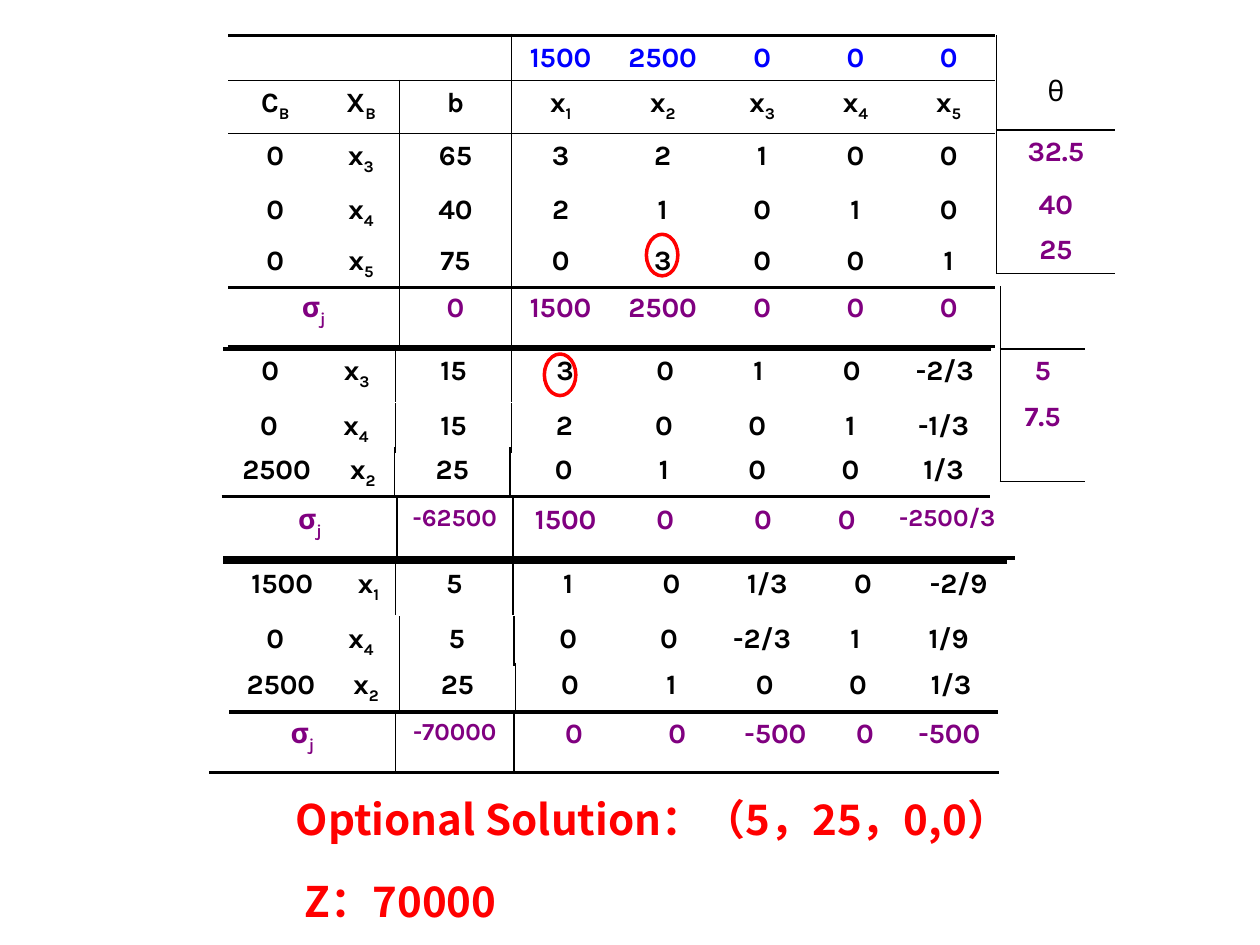
"""Builds a slide with three simplex tableaus, their ratio columns and the solution."""
from lxml import etree
from pptx import Presentation
from pptx.dml.color import RGBColor
from pptx.enum.shapes import MSO_SHAPE
from pptx.enum.text import PP_ALIGN
from pptx.oxml.ns import qn
from pptx.util import Inches, Pt

OVAL = MSO_SHAPE.OVAL
CENTER = PP_ALIGN.CENTER
HUES = {"ink": "000000", "cost": "0000FF", "sum": "800080", "mark": "FF0000"}
FACE, WIDE = "Karla", "Noto Sans CJK SC"
THIN, THICK = 1, 2.25
SMALL = {"-62500", "-2500/3", "-70000"}

# Each entry: left, top, column widths, row heights, hue, rules by row edge, rules by column edge, rows
GRIDS = [
    (1.81, 0.28, [0.75, 0.61, 0.89, 0.78, 0.84, 0.74, 0.74, 0.74], [0.36, 0.42, 0.43, 0.4, 0.38],
     "ink", {0: THICK, 1: THIN, 2: THIN, 5: THICK}, (2, 3), [
         ["", "", "", "1500", "2500", "0", "0", "0"],
         ["C_B", "X_B", "b", "x_1", "x_2", "x_3", "x_4", "x_5"],
         ["0", "x_3", "65", "3", "2", "1", "0", "0"],
         ["0", "x_4", "40", "2", "1", "0", "1", "0"],
         ["0", "x_5", "75", "0", "3", "0", "0", "1"]]),
    (1.81, 2.27, [1.36, 0.89, 0.78, 0.84, 0.74, 0.74, 0.74], [0.48],
     "sum", {1: THICK}, (1, 2), [["σ_j", "0", "1500", "2500", "0", "0", "0"]]),
    (1.77, 2.77, [0.75, 0.62, 0.92, 0.85, 0.74, 0.74, 0.74, 0.74], [0.42],
     "ink", {0: THICK}, (2, 3), [["0", "x_3", "15", "3", "0", "1", "0", "-2/3"]]),
    (1.76, 3.2, [0.75, 0.63, 0.92, 0.84, 0.74, 0.74, 0.74, 0.74], [0.37],
     "ink", {}, (2, 3), [["0", "x_4", "15", "2", "0", "0", "1", "-1/3"]]),
    (1.76, 3.55, [0.87, 0.5, 0.92, 0.85, 0.74, 0.74, 0.74, 0.74], [0.37],
     "ink", {1: THICK}, (2, 3), [["2500", "x_2", "25", "0", "1", "0", "0", "1/3"]]),
    (1.77, 3.95, [1.38, 0.92, 0.84, 0.74, 0.81, 0.52, 1.08], [0.48],
     "sum", {1: THICK}, (1, 2), [["σ_j", "-62500", "1500", "0", "0", "0", "-2500/3"]]),
    (1.77, 4.46, [0.94, 0.43, 0.93, 0.88, 0.76, 0.76, 0.76, 0.76], [0.42],
     "ink", {0: THICK}, (2, 3), [["1500", "x_1", "5", "1", "0", "1/3", "0", "-2/9"]]),
    (1.81, 4.89, [0.75, 0.61, 0.91, 0.86, 0.74, 0.74, 0.74, 0.74], [0.37],
     "ink", {}, (2, 3), [["0", "x_4", "5", "0", "0", "-2/3", "1", "1/9"]]),
    (1.82, 5.26, [0.82, 0.53, 0.92, 0.87, 0.74, 0.74, 0.74, 0.74], [0.37],
     "ink", {1: THICK}, (2, 3), [["2500", "x_2", "25", "0", "1", "0", "0", "1/3"]]),
    (1.66, 5.65, [1.48, 0.94, 0.95, 0.69, 0.87, 0.55, 0.79], [0.48],
     "sum", {1: THICK}, (1, 2), [["σ_j", "-70000", "0", "0", "-500", "0", "-500"]]),
    (7.91, 0.28, [0.94], [0.75, 0.42, 0.36, 0.36],
     "sum", {1: THIN, 4: THIN}, (0,), [["θ"], ["32.5"], ["40"], ["25"]]),
    (7.94, 2.27, [0.67], [0.5, 0.36, 0.36, 0.33],
     "sum", {1: THIN, 4: THIN}, (0,), [[""], ["5"], ["7.5"], [""]]),
]
RINGS = [(5.13, 1.86), (4.32, 2.81)]
NOTES = [
    (2.25, 6.25, 6.68, "Optional Solution：（5，25，0,0）"),
    (2.32, 6.9, 4.25, "Z：70000"),
]


def style(para, size, face, hue, bold=True):
    font = para.font
    font.size, font.name, font.bold = Pt(size), face, bold
    font.color.rgb = RGBColor.from_string(HUES[hue])


def edge(cell, spot, side, width):
    line = etree.Element(qn("a:ln" + side))
    if width:
        line.set("w", str(Pt(width)))
        fill = etree.SubElement(line, qn("a:solidFill"))
        etree.SubElement(fill, qn("a:srgbClr")).set("val", HUES["ink"])
    else:
        etree.SubElement(line, qn("a:noFill"))
    cell._tc.get_or_add_tcPr().insert(spot, line)


def write(cell, text, hue):
    cell.margin_left = cell.margin_right = Inches(0.05)
    para = cell.text_frame.paragraphs[0]
    para.alignment = CENTER
    size = 14 if text in SMALL else 16 if text else 10
    para.space_before = Pt(size * 0.2)
    style(para, size, FACE, hue, text != "θ")
    if text == "θ":
        cell.margin_top = Inches(0.32)
    base, _, sub = text.partition("_")
    if base:
        para.add_run().text = base
    if sub:
        run = para.add_run()
        run.text = sub
        run._r.get_or_add_rPr().set("baseline", "-25000")


def draw_grid(slide, left, top, cols, highs, hue, across, down, rows):
    frame = slide.shapes.add_table(len(rows), len(cols), Inches(left), Inches(top),
                                   Inches(sum(cols)), Inches(sum(highs)))
    grid = frame.table
    grid.first_row = grid.horz_banding = False
    for col, wide in zip(grid.columns, cols):
        col.width = Inches(wide)
    for row, high in zip(grid.rows, highs):
        row.height = Inches(high)
    if len(rows) == 5:
        grid.cell(0, 0).merge(grid.cell(0, 2))
    for r, row in enumerate(rows):
        for c, text in enumerate(row):
            cell = grid.cell(r, c)
            if cell.is_spanned:
                continue
            tint = "cost" if len(rows) == 5 and r == 0 else "ink" if text == "θ" else hue
            write(cell, text, tint)
            cell.fill.background()
            right = c + (cell.span_width if cell.is_merge_origin else 1)
            sides = [("L", THIN * (c in down)), ("R", THIN * (right in down)),
                     ("T", across.get(r)), ("B", across.get(r + 1))]
            for spot, (side, width) in enumerate(sides):
                edge(cell, spot, side, width)


def draw_ring(slide, left, top):
    ring = slide.shapes.add_shape(OVAL, Inches(left), Inches(top), Inches(0.25), Inches(0.33))
    ring.shadow.inherit = False
    ring.fill.background()
    ring.line.color.rgb = RGBColor.from_string(HUES["mark"])
    ring.line.width = Pt(2)


def draw_note(slide, left, top, wide, text):
    box = slide.shapes.add_textbox(Inches(left), Inches(top), Inches(wide), Inches(0.5))
    box.text_frame.word_wrap = True
    para = box.text_frame.paragraphs[0]
    para.text = text
    style(para, 24, WIDE, "mark")
    etree.SubElement(para.font._rPr, qn("a:ea")).set("typeface", WIDE)


def main():
    deck = Presentation()
    deck.slide_width, deck.slide_height = Inches(10), Inches(7.5)
    slide = deck.slides.add_slide(deck.slide_layouts[6])
    for grid in GRIDS:
        draw_grid(slide, *grid)
    for ring in RINGS:
        draw_ring(slide, *ring)
    for note in NOTES:
        draw_note(slide, *note)
    deck.save("out.pptx")


if __name__ == "__main__":
    main()
